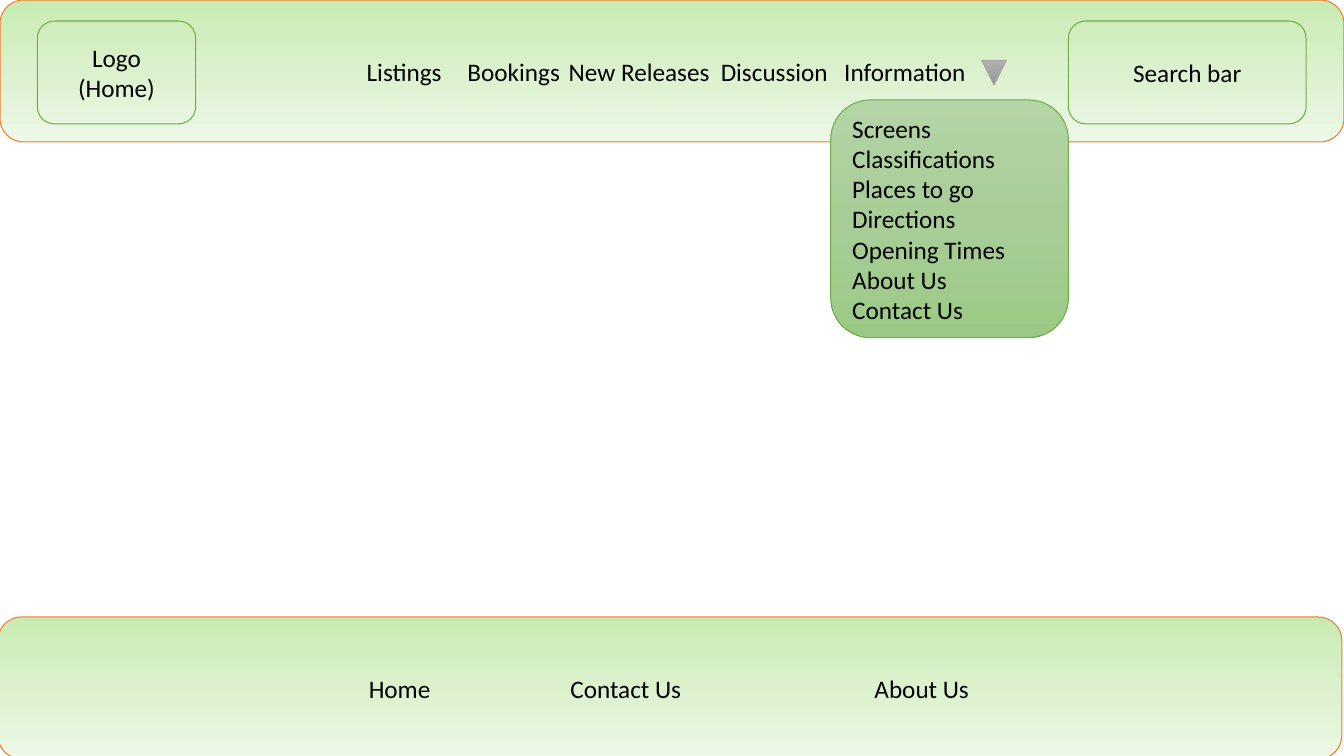
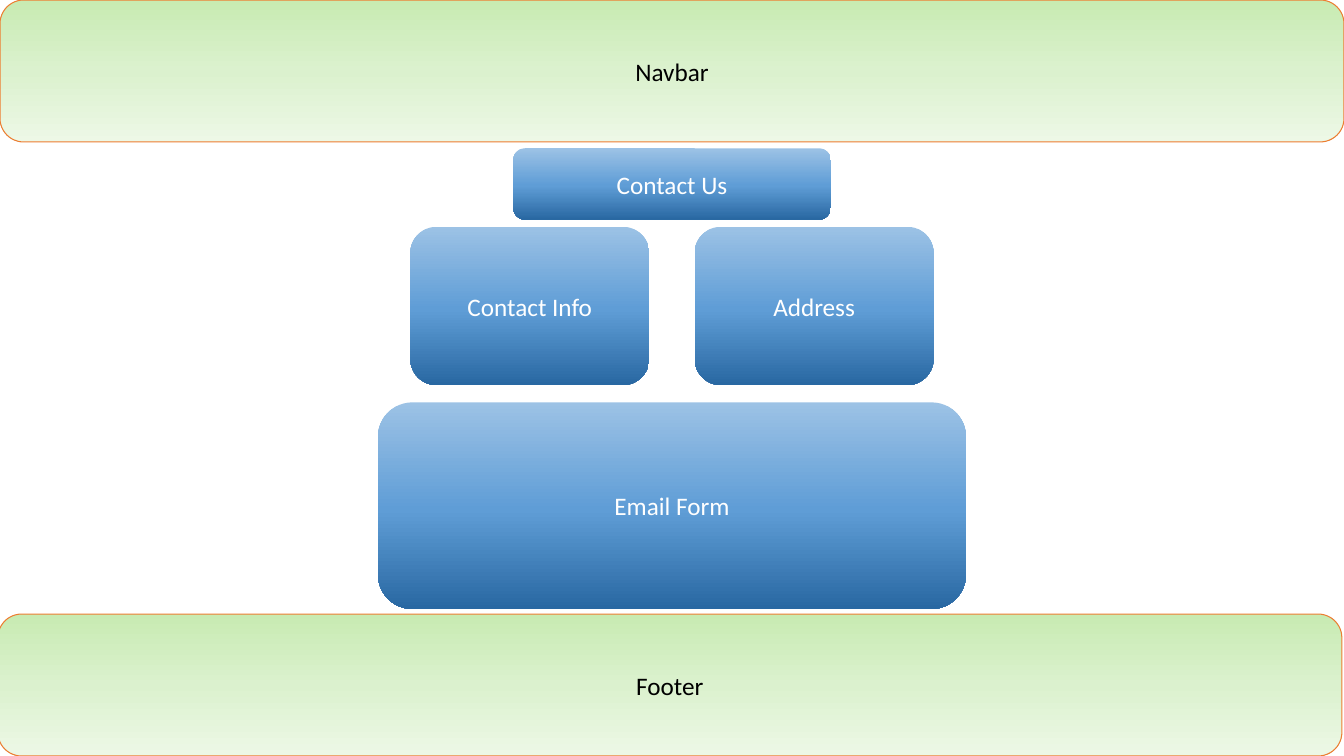
from copy import deepcopy
from dataclasses import dataclass

from lxml import etree
from pptx import Presentation, util as u
from pptx.dml.color import RGBColor
from pptx.enum import shapes, text
from pptx.oxml.ns import qn

COLUMNS, ROWS = 32, 18
CELL = u.Inches(7.5) / ROWS
BAND_ROWS = 3.38

BLACK, WHITE = "000000", "FFFFFF"
ORANGE, GREEN, GREY = "ED7D31", "70AD47", "A5A5A5"
# Gradient stops run from top to bottom.
PALE_GREEN = [(0, "C8EBB2"), (0.5, "DBF1CE"), (1, "EDF8E6")]
LEAF_GREEN = [(0, "B4D4A5"), (0.5, "A8CD97"), (1, "9BC985")]
SILVER = [(0, "AFAFAF"), (0.5, "A5A5A5"), (1, "919191")]
BLUE = [(0, "9CC2E5"), (0.52, "5F9DD6"), (1, "2968A2")]


@dataclass
class Box:
    """An area measured in grid columns and rows."""
    left: float
    top: float
    width: float
    height: float

    def inner(self, left, top, width, height):
        return Box(self.left + left, self.top + top, width, height)

    def centred(self, top, width, height):
        return self.inner((self.width - width) / 2, top, width, height)

    def emu(self):
        return [grid(n) for n in (self.left, self.top, self.width, self.height)]


def grid(cells):
    return u.Emu(round(cells * CELL))


def rgb(hex_colour):
    return RGBColor.from_string(hex_colour)


def fill_gradient(shape, stops):
    shape.fill.gradient()
    shape.fill.gradient_angle = 270
    stop_list = shape._element.spPr.find(".//" + qn("a:gsLst"))
    stop_list.insert(1, deepcopy(stop_list[0]))
    for stop, (position, colour) in zip(shape.fill.gradient_stops, stops):
        stop.position = position
        stop.color.rgb = rgb(colour)


def add_tab_stops(paragraph, columns):
    tabs = etree.SubElement(paragraph._p.get_or_add_pPr(), qn("a:tabLst"))
    for column in columns:
        etree.SubElement(tabs, qn("a:tab"), pos=str(grid(column)), algn="l")


def add_panel(slide, box, lines=(), stops=None, outline=None, colour=BLACK,
              align=text.PP_ALIGN.CENTER, tab_columns=(),
              outline_type=shapes.MSO_SHAPE.ROUNDED_RECTANGLE):
    panel = slide.shapes.add_shape(outline_type, *box.emu())
    panel.shadow.inherit = False
    if stops:
        fill_gradient(panel, stops)
    else:
        panel.fill.background()
    if outline:
        panel.line.color.rgb = rgb(outline)
        panel.line.width = u.Pt(0.75)
    else:
        panel.line.fill.background()
    if not lines:
        return
    frame = panel.text_frame
    frame.word_wrap = True
    frame.vertical_anchor = text.MSO_ANCHOR.MIDDLE
    frame.text = "\n".join(lines)
    for paragraph in frame.paragraphs:
        paragraph.alignment = align
        if tab_columns:
            add_tab_stops(paragraph, tab_columns)
        paragraph.font.name = "Calibri"
        paragraph.font.size = u.Pt(18)
        paragraph.font.color.rgb = rgb(colour)


def add_band(slide, box, label):
    add_panel(slide, box, [label], PALE_GREEN, ORANGE)


def add_link_band(slide, box, links):
    """Draw a band whose links start at the given columns of its text area."""
    add_panel(slide, box, ["".join("\t" + link for link in links)],
              PALE_GREEN, ORANGE, align=text.PP_ALIGN.LEFT,
              tab_columns=links.values())


def add_navbar(slide, box):
    add_link_band(slide, box, {
        "Listings": 8.33, "Bookings": 10.73, "New Releases": 13.14,
        "Discussion": 16.76, "Information": 19.7})
    menu_side = 5.66
    search = box.inner(25.44, 0.5, menu_side, 2.45)
    add_panel(slide, box.inner(0.89, 0.5, 3.77, 2.45), ["Logo (Home)"],
              outline=GREEN)
    add_panel(slide, search, ["Search bar"], outline=GREEN)
    add_panel(slide, box.inner(23.38, 1.44, 0.58, 0.58), stops=SILVER,
              outline=GREY, outline_type=shapes.MSO_SHAPE.FLOWCHART_MERGE)
    add_panel(slide, search.inner(-menu_side, 1.88, menu_side, menu_side),
              ["Screens", "Classifications", "Places to go", "Directions",
               "Opening Times", "About Us", "Contact Us"],
              LEAF_GREEN, GREEN, align=text.PP_ALIGN.LEFT)


def add_contact_content(slide, box):
    card_width, card_gap = 5.69, 1.08
    cards = box.centred(2.02, 2 * card_width + card_gap, 3.77)
    sections = {
        "Contact Us": box.centred(0.15, 7.56, 1.7),
        "Email Form": box.centred(6.2, 14, 4.92),
    }
    for i, label in enumerate(["Contact Info", "Address"]):
        sections[label] = cards.inner(i * (card_width + card_gap), 0,
                                      card_width, cards.height)
    for label, section in sections.items():
        add_panel(slide, section, [label], BLUE, colour=WHITE)


def build_navigation_slide(slide, page):
    add_link_band(slide, page.inner(-0.05, 14.69, COLUMNS, BAND_ROWS),
                  {"Home": 8.43, "Contact Us": 13.23, "About Us": 20.47})
    add_navbar(slide, page.inner(0, 0, COLUMNS, BAND_ROWS))


def build_contact_slide(slide, page):
    add_band(slide, page.inner(0, 0, COLUMNS, BAND_ROWS), "Navbar")
    add_band(slide, page.inner(-0.05, ROWS - BAND_ROWS, COLUMNS, BAND_ROWS),
             "Footer")
    add_contact_content(slide, page.inner(0, BAND_ROWS, COLUMNS,
                                          ROWS - 2 * BAND_ROWS))


def main():
    deck = Presentation()
    deck.slide_width, deck.slide_height = grid(COLUMNS), grid(ROWS)
    page = Box(0, 0, COLUMNS, ROWS)
    for build in (build_navigation_slide, build_contact_slide):
        build(deck.slides.add_slide(deck.slide_layouts[6]), page)
    deck.save("out.pptx")


if __name__ == "__main__":
    main()
